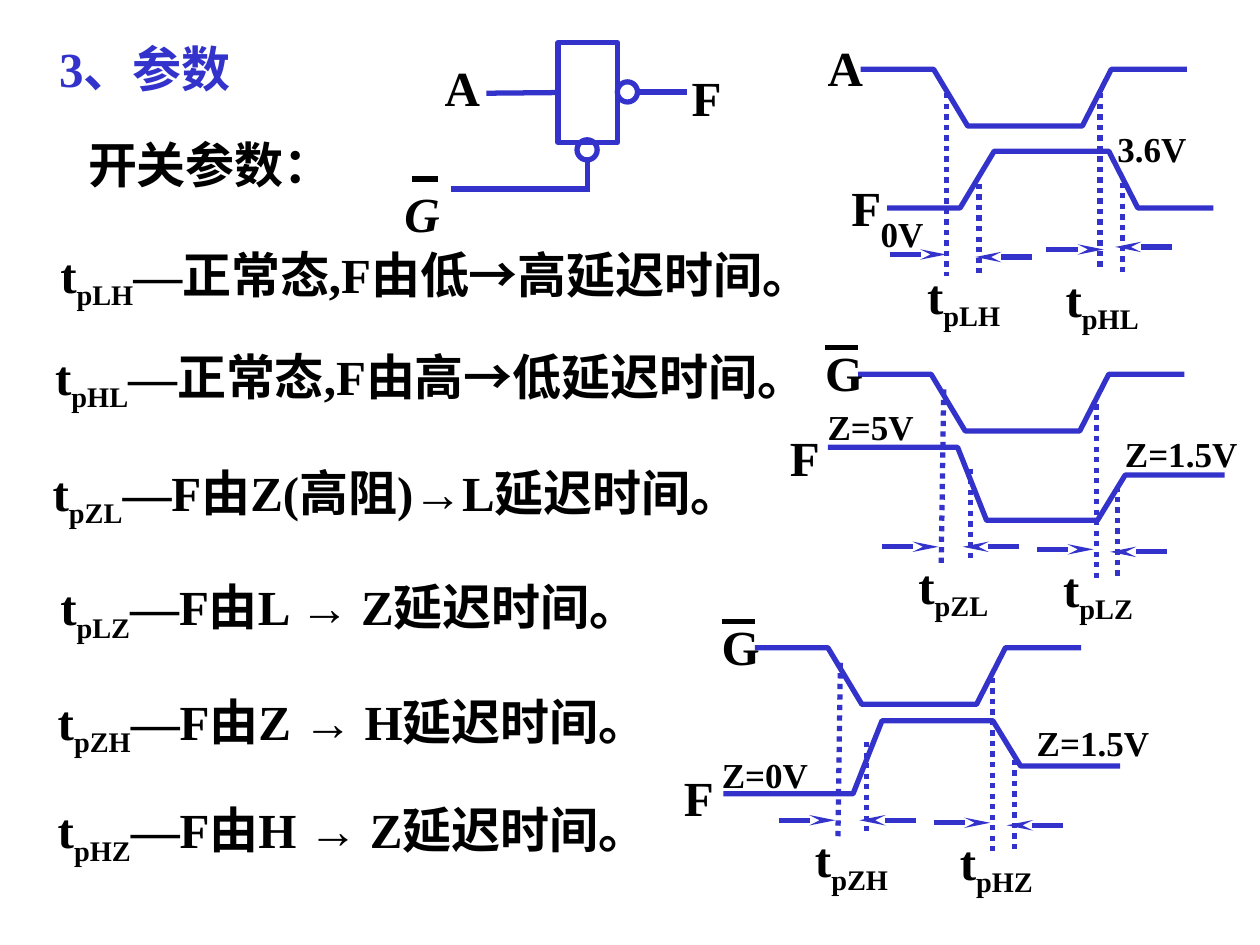
from lxml.etree import SubElement
from pptx import Presentation
from pptx.dml.color import RGBColor
from pptx.enum.dml import MSO_LINE
from pptx.enum.shapes import MSO_CONNECTOR, MSO_SHAPE
from pptx.enum.text import MSO_ANCHOR, PP_ALIGN
from pptx.oxml.ns import qn
from pptx.util import Inches, Pt

BLUE = RGBColor(0x33, 0x33, 0xCC)
BLACK = RGBColor(0, 0, 0)
WHITE = RGBColor(255, 255, 255)
FONT = "Times New Roman"
BIG, SMALL = 28, 20

TITLE = "3、参数"
HEADING = "开关参数："
DEFINITIONS = [
    (0.38, 1.89, 6.42, "pLH", "—正常态,F由低→高延迟时间。"),
    (0.34, 2.7, 6.43, "pHL", "—正常态,F由高→低延迟时间。"),
    (0.32, 3.62, 5.87, "pZL", "—F由Z(高阻)→L延迟时间。"),
    (0.38, 4.53, 4.89, "pLZ", "—F由L → Z延迟时间。"),
    (0.36, 5.44, 5.22, "pZH", "—F由Z → H延迟时间。"),
    (0.36, 6.3, 5.18, "pHZ", "—F由H → Z延迟时间。"),
]

PULSE = [(0, 0), (0.58, 0), (0.85, 1), (1.76, 1), (1.99, 0), (2.59, 0)]
TRISTATE = [(0, 0), (1.03, 0), (1.26, 1), (2.14, 1), (2.36, 0.38), (3.15, 0.38)]
PULSE_H, TRISTATE_H = 0.45, 0.58
GATED = {
    "input": "G",
    "wave": TRISTATE,
    "guides": [(0.68, 0.12, 0.66, 1.52), (1.89, 0.24, 1.89, 1.64),
               (0.89, 0.75, 0.89, 1.47), (2.06, 0.89, 2.06, 1.61)],
    "arrows": [(0.19, 0.64, 1.37), (1.42, 1.87, 1.39), (1.28, 0.83, 1.37), (2.45, 2, 1.41)],
    "time_at": [(0.38, 1.39), (1.53, 1.41)],
}
DIAGRAMS = [
    {
        "origin": (6.83, 0.55), "input": "A", "wave": PULSE,
        "wave_at": (0.21, 1.1), "height": -PULSE_H, "F_at": (-0.17, 0.81),
        "levels": [(1.94, 0.41, 0.79, "3.6V"), (0.06, 1.09, 0.79, "0V")],
        "guides": [(0.68, 0.19, 0.68, 1.64), (1.9, 0.19, 1.9, 1.57),
                   (0.94, 0.91, 0.94, 1.62), (2.08, 0.9, 2.08, 1.61)],
        "arrows": [(0.23, 0.68, 1.47), (1.47, 1.93, 1.43), (1.36, 0.91, 1.49), (2.47, 2.02, 1.41)],
        "times": ["pLH", "pHL"], "time_at": [(0.43, 1.51), (1.53, 1.53)],
    },
    GATED | {
        "origin": (6.81, 2.97), "wave_at": (-0.24, 0.58), "height": TRISTATE_H,
        "F_at": (-0.64, 0.37), "times": ["pZL", "pLZ"],
        "levels": [(-0.34, 0.2, 1.4, "Z=5V"), (2.02, 0.41, 1.17, "Z=1.5V")],
    },
    GATED | {
        "origin": (5.99, 5.14), "wave_at": (-0.25, 1.16), "height": -TRISTATE_H,
        "F_at": (-0.66, 0.9), "times": ["pZH", "pHZ"],
        "levels": [(-0.36, 0.79, 0.98, "Z=0V"), (2.14, 0.54, 1.17, "Z=1.5V")],
    },
]


def style(p, size, color=BLACK):
    f = p.font
    f.name, f.size, f.bold = FONT, Pt(size), True
    f.color.rgb = color
    p.alignment = PP_ALIGN.LEFT


def add_text(s, x, y, w, text, size=BIG, sub="", tail="", border=False):
    box = s.shapes.add_textbox(Inches(x), Inches(y), Inches(w), Inches(0.57 if size == BIG else 0.43))
    if border:
        box.line.color.rgb, box.line.width = WHITE, Pt(3)
    tf = box.text_frame
    tf.word_wrap = True
    p = tf.paragraphs[0]
    style(p, size)
    for part in filter(None, (text, sub, tail)):
        r = p.add_run()
        r.text = part
        if part == sub:
            r.font._element.set("baseline", "-25000")
    return box


def add_line(s, x1, y1, x2, y2, color=BLUE, dotted=False, arrow=False):
    c = s.shapes.add_connector(MSO_CONNECTOR.STRAIGHT, *map(Inches, (x1, y1, x2, y2)))
    c.line.color.rgb, c.line.width = color, Pt(3)
    if dotted:
        c.line.dash_style = MSO_LINE.ROUND_DOT
    if arrow:
        SubElement(c.line._get_or_add_ln(), qn("a:tailEnd"), type="stealth", w="sm", len="lg")
    SubElement(c._element.spPr, qn("a:effectLst"))
    return c


def outline(sp):
    sp.shadow.inherit = False
    sp.fill.background()
    sp.line.color.rgb, sp.line.width = BLUE, Pt(3)
    return sp


def add_outline(s, kind, x, y, w, h):
    return outline(s.shapes.add_shape(kind, *map(Inches, (x, y, w, h))))


def add_wave(s, x, y, points, height):
    pts = [(Inches(x + dx), Inches(y + dy * height)) for dx, dy in points]
    fb = s.shapes.build_freeform(*pts[0])
    fb.add_line_segments(pts[1:], close=False)
    outline(fb.convert_to_shape())


def add_gate(s):
    gate = add_outline(s, MSO_SHAPE.RECTANGLE, 4.43, 0.34, 0.47, 0.79)
    for x, y in [(4.9, 0.65), (4.58, 1.11)]:
        add_outline(s, MSO_SHAPE.OVAL, x, y, 0.16, 0.16)
    add_line(s, 4.43, 0.74, 3.86, 0.74).begin_connect(gate, 1)
    add_line(s, 5.06, 0.73, 5.45, 0.73)
    add_line(s, 4.68, 1.5, 3.58, 1.5)
    add_line(s, 4.66, 1.5, 4.66, 1.27)
    add_line(s, 3.27, 1.42, 3.48, 1.42, BLACK)
    add_text(s, 3.43, 0.41, 0.39, "A", border=True)
    add_text(s, 5.39, 0.49, 0.51, "F")
    tf = add_text(s, 3.21, 1.46, 0.39, "G").text_frame
    tf.margin_left = tf.margin_right = tf.margin_top = tf.margin_bottom = 0
    tf.paragraphs[0].font.italic = True


def add_diagram(s, d):
    ox, oy = d["origin"]
    add_wave(s, ox, oy, PULSE, PULSE_H)
    add_text(s, ox - 0.36, oy - 0.3, 0.57, d["input"])
    if d["input"] == "G":
        add_line(s, ox - 0.26, oy - 0.21, ox, oy - 0.21, BLACK)
    fx, fy = d["F_at"]
    add_text(s, ox + fx, oy + fy, 0.57, "F")
    wx, wy = d["wave_at"]
    add_wave(s, ox + wx, oy + wy, d["wave"], d["height"])
    for x, y, w, text in d["levels"]:
        add_text(s, ox + x, oy + y, w, text, SMALL)
    for x1, y1, x2, y2 in d["guides"]:
        add_line(s, ox + x1, oy + y1, ox + x2, oy + y2, dotted=True)
    for x1, x2, y in d["arrows"]:
        add_line(s, ox + x1, oy + y, ox + x2, oy + y, arrow=True)
    for (x, y), sub in zip(d["time_at"], d["times"]):
        add_text(s, ox + x, oy + y, 0.9, "t", sub=sub)


def main():
    """Build the switching-parameters slide."""
    prs = Presentation()
    prs.slide_width, prs.slide_height = Inches(10), Inches(7.5)
    s = prs.slides.add_slide(prs.slide_layouts[5])
    title = s.shapes.title
    title.left, title.top, title.width, title.height = map(Inches, (0.37, 0.27, 1.86, 0.53))
    title.text_frame.text = TITLE
    title.text_frame.vertical_anchor = MSO_ANCHOR.MIDDLE
    style(title.text_frame.paragraphs[0], BIG, BLUE)
    add_text(s, 0.6, 1.02, 2.21, HEADING, border=True)
    for x, y, w, sub, tail in DEFINITIONS:
        add_text(s, x, y, w, "t", sub=sub, tail=tail, border=True)
    add_gate(s)
    for d in DIAGRAMS:
        add_diagram(s, d)
    prs.save("out.pptx")


if __name__ == "__main__":
    main()
